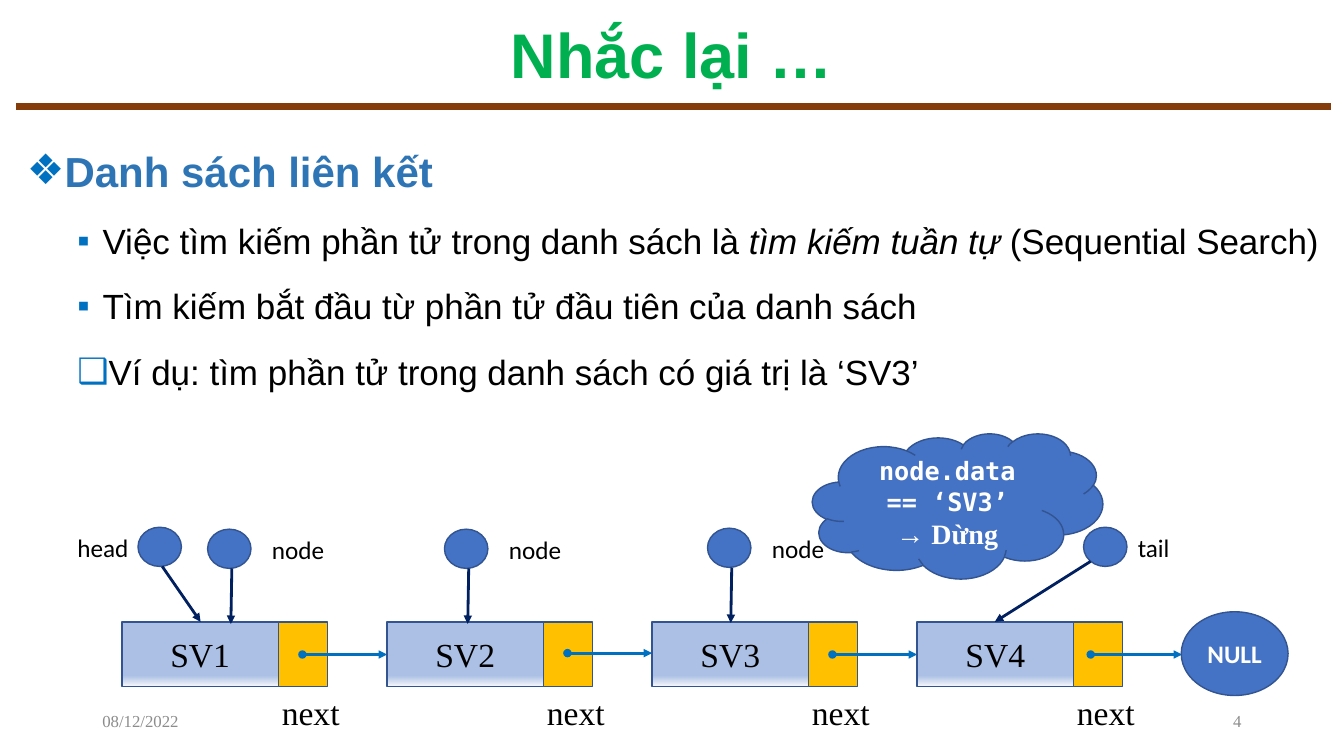
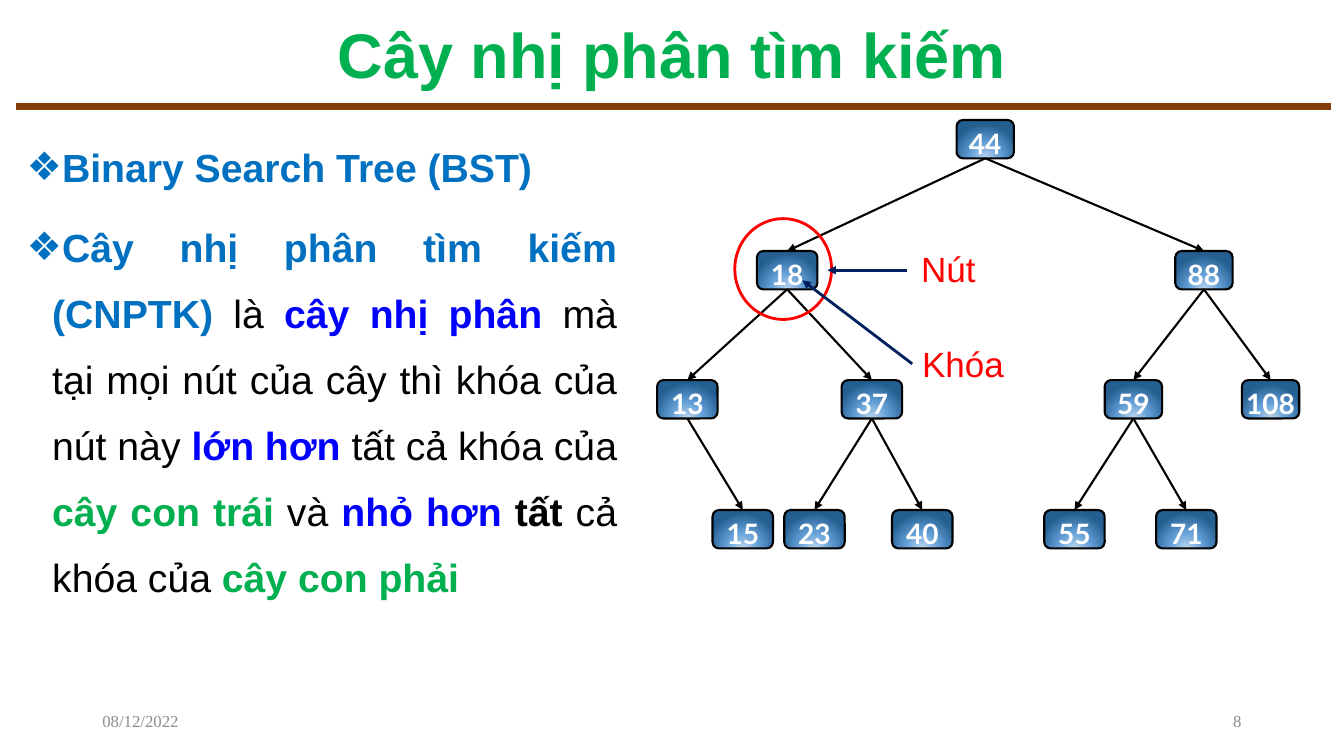
"""Build two lecture slides: linked list search and binary search tree."""
from lxml import etree
from pptx import Presentation
from pptx.dml.color import RGBColor
from pptx.enum import shapes, text
from pptx.oxml import ns
from pptx.util import Pt

COLORS = {
    "title": "00B050", "rule": "843C0B", "heading": "2E75B6", "accent": "0070C0",
    "black": "000000", "white": "FFFFFF", "blue": "0000FF", "green": "00B050",
    "red": "FF0000", "gray": "8C8C8C", "navy": "002060", "shape": "4472C4",
    "outline": "325491", "link": "FFC000",
}
DATA_GRADIENT = [(74, "ABC0E4"), (83, "ABC0E4"), (100, "F6F8FC")]
TREE_GRADIENT = [(0, "BDD7EE"), (46, "63A0D7"), (100, "255E91")]
SERIF, SANS, LABEL = "Times New Roman", "Arial", "Calibri"
DATE = "08/12/2022"

LIST_BODY = [
    (0, "❖", 30, [("Danh sách liên kết", "heading", "b")]),
    (1, "▪", 25, [("Việc tìm kiếm phần tử trong danh sách là ", "black", ""),
                  ("tìm kiếm tuần tự", "black", "i"),
                  (" (Sequential Search)", "black", "")]),
    (1, "▪", 25, [("Tìm kiếm bắt đầu từ phần tử đầu tiên của danh sách", "black", "")]),
    (1, "❑", 25, [("Ví dụ: tìm phần tử trong danh sách có giá trị là ‘SV3’", "black", "")]),
]
TREE_BODY = [
    (0, "❖", 28, [("Binary Search Tree (BST)", "accent", "b")]),
    (0, "❖", 28, [("Cây nhị phân tìm kiếm (CNPTK)", "accent", "b"),
                  (" là ", "black", ""),
                  ("cây nhị phân", "blue", "b"),
                  (" mà tại mọi nút của cây thì khóa của nút này ", "black", ""),
                  ("lớn hơn ", "blue", "b"),
                  ("tất cả khóa của ", "black", ""),
                  ("cây con trái", "green", "b"),
                  (" và ", "black", ""),
                  ("nhỏ hơn", "blue", "b"),
                  (" tất ", "black", "b"),
                  ("cả khóa của ", "black", ""),
                  ("cây con phải", "green", "b")]),
]

STUDENTS = ["SV1", "SV2", "SV3", "SV4"]
CELL_LEFT, CELL_TOP, CELL_STEP = 87.2, 444.2, 189.3
DATA_WIDTH, LINK_WIDTH, CELL_HEIGHT = 111.6, 35.3, 46.2
LINK_STARTS, LINK_HEIGHTS = [128.8, 128.8, 128.8, 124], [467.5, 466.5, 467.5, 467.5]
# label, label left, circle left, top, arrow start, arrow tip
POINTERS = [
    ("head", 48.2, 98.6, 376.6, (115.9, 404.6), (143.3, 444.2)),
    ("node", 187.2, 148.3, 378, (165.6, 406), (164.9, 445.7)),
    ("node", 356.4, 317.5, 378, (334.8, 406), (334.1, 445.7)),
    ("node", 544.3, 505.4, 377.3, (522.7, 405.4), (522, 445)),
    ("tail", 805.7, 774, 376.6, (779, 401), (710.6, 444.2)),
]

LEVEL_TOPS = [85.7, 179.3, 271.5, 364.3]
NODE_HEIGHT = 27.4
# key: centre, level, width
TREE_NODES = {
    44: (703.8, 0, 41), 18: (562.3, 1, 43.2), 88: (860, 1, 41),
    13: (491, 2, 43.2), 37: (622.8, 2, 43.2), 59: (809.6, 2, 41), 108: (907.6, 2, 41),
    15: (530.6, 3, 43.2), 23: (581.8, 3, 43.2), 40: (658.8, 3, 43.2),
    55: (767.5, 3, 43.2), 71: (847.4, 3, 43.2),
}
TREE_EDGES = [(44, 18), (44, 88), (18, 13), (18, 37), (88, 59), (88, 108),
              (13, 15), (37, 23), (37, 40), (59, 55), (59, 71)]
CALLOUTS = [("Nút", 650.9, 173.5, (648, 193), (591.1, 193)),
            ("Khóa", 651.6, 241.2, (651.6, 259.9), (573.1, 200.2))]

SHAPE = shapes.MSO_SHAPE
ALIGN = text.PP_ALIGN


def color(name):
    return RGBColor.from_string(COLORS[name])


def set_font(font, size, name, ink, bold=False):
    font.size, font.name, font.bold = Pt(size), name, bold
    font.color.rgb = color(ink)


def write(para, words, size, name, ink, bold=False, align=ALIGN.LEFT):
    para.add_run().text = words
    para.alignment = align
    set_font(para.font, size, name, ink, bold)


def add_text(page, box, words, size, name, ink, bold=False, align=ALIGN.LEFT,
             wrap=False, middle=False):
    frame = page.shapes.add_textbox(*map(Pt, box)).text_frame
    frame.word_wrap = wrap
    if middle:
        frame.vertical_anchor = text.MSO_ANCHOR.MIDDLE
    write(frame.paragraphs[0], words, size, name, ink, bold, align)
    return frame.paragraphs[0]


def add_shape(page, kind, box, fill=None, line="outline", width=1):
    shape = page.shapes.add_shape(kind, *map(Pt, box))
    shape.shadow.inherit = False
    if fill:
        shape.fill.solid()
        shape.fill.fore_color.rgb = color(fill)
    else:
        shape.fill.background()
    shape.line.color.rgb = color(line)
    shape.line.width = Pt(width)
    shape.text_frame.vertical_anchor = text.MSO_ANCHOR.MIDDLE
    return shape


def set_gradient(shape, stops, circle=False):
    gradient = etree.Element(ns.qn("a:gradFill"), rotWithShape="1")
    stop_list = etree.SubElement(gradient, ns.qn("a:gsLst"))
    for position, ink in stops:
        stop = etree.SubElement(stop_list, ns.qn("a:gs"), pos=str(position * 1000))
        etree.SubElement(stop, ns.qn("a:srgbClr"), val=ink)
    if circle:
        shade = etree.SubElement(gradient, ns.qn("a:path"), {"path": "circle"})
        etree.SubElement(shade, ns.qn("a:fillToRect"), l="50000", t="130000", r="50000", b="-30000")
    else:
        etree.SubElement(gradient, ns.qn("a:lin"), ang="5400000", scaled="0")
    properties = shape._element.spPr
    properties.replace(properties.find(ns.qn("a:noFill")), gradient)


def add_line(page, start, end, ink, width, head=None, tail=None):
    line = page.shapes.add_connector(shapes.MSO_CONNECTOR.STRAIGHT, *map(Pt, (*start, *end)))
    line.line.color.rgb = color(ink)
    line.line.width = Pt(width)
    for tag, kind in (("a:headEnd", head), ("a:tailEnd", tail)):
        if kind:
            etree.SubElement(line.line._get_or_add_ln(), ns.qn(tag), type=kind)
    etree.SubElement(line._element.spPr, ns.qn("a:effectLst"))
    return line


def add_bullet(para, mark, left):
    properties = para._p.get_or_add_pPr()
    properties.set("marL", str(Pt(left)))
    properties.set("indent", str(Pt(-18)))
    ink = etree.SubElement(properties, ns.qn("a:buClr"))
    etree.SubElement(ink, ns.qn("a:srgbClr"), val=COLORS["accent"])
    etree.SubElement(properties, ns.qn("a:buFont"), typeface=SANS)
    etree.SubElement(properties, ns.qn("a:buChar"), char=mark)


def add_body(page, box, items):
    frame = page.shapes.add_textbox(*map(Pt, box)).text_frame
    frame.word_wrap = True
    for index, (level, mark, size, runs) in enumerate(items):
        para = frame.add_paragraph() if index else frame.paragraphs[0]
        add_bullet(para, mark, 54 if level else 18)
        para.level = level
        para.alignment = ALIGN.JUSTIFY
        para.line_spacing = 1.4
        if index:
            para.space_before = Pt(5 if level else 10)
        para.font.size, para.font.name = Pt(size), SANS
        for words, ink, style in runs:
            span = para.add_run()
            span.text = words
            span.font.color.rgb = color(ink)
            span.font.bold, span.font.italic = style == "b", style == "i"


def add_page(deck, title, number):
    page = deck.slides.add_slide(deck.slide_layouts[6])
    add_line(page, (11.5, 76.3), (951, 76.3), "rule", 5)
    heading = add_text(page, (66, 12.2, 828, 58.3), title, 45, SANS, "title", True,
                       ALIGN.CENTER, True, True)
    heading.line_spacing = 0.9
    for left, words, align in ((678, number, ALIGN.RIGHT), (66, DATE, ALIGN.LEFT)):
        add_text(page, (left, 500.4, 216, 28.8), words, 12, SERIF, "gray",
                 align=align, wrap=True, middle=True)
    return page


def build_list_page(deck):
    page = add_page(deck, "Nhắc lại …", "4")
    add_body(page, (12.2, 85.7, 938, 443.5), LIST_BODY)
    for index, student in enumerate(STUDENTS):
        left = CELL_LEFT + index * CELL_STEP
        data = add_shape(page, SHAPE.RECTANGLE, (left, CELL_TOP, DATA_WIDTH, CELL_HEIGHT))
        set_gradient(data, DATA_GRADIENT)
        write(data.text_frame.paragraphs[0], student, 24, SERIF, "black", align=ALIGN.CENTER)
        add_shape(page, SHAPE.RECTANGLE, (left + DATA_WIDTH, CELL_TOP, LINK_WIDTH, CELL_HEIGHT), "link")
        height = LINK_HEIGHTS[index]
        add_line(page, (left + LINK_STARTS[index], height), (left + CELL_STEP, height),
                 "accent", 2, "oval", "triangle")
        add_text(page, (left + 107, 491, 56.2, 36), "next", 24, SERIF, "black")
    end = add_shape(page, SHAPE.OVAL, (843.8, 437, 76.3, 59.8), "shape")
    write(end.text_frame.paragraphs[0], "NULL", 18, LABEL, "white", True, ALIGN.CENTER)
    for label, label_left, left, top, start, tip in POINTERS:
        add_shape(page, SHAPE.OVAL, (left, top, 31, 28), "shape")
        add_line(page, start, tip, "navy", 2, tail="triangle")
        add_text(page, (label_left, top, 52, 28.8), label, 18, LABEL, "black")
    cloud = add_shape(page, SHAPE.CLOUD, (580.3, 309.6, 207.4, 103.7), "shape").text_frame
    write(cloud.paragraphs[0], "node.data == ‘SV3’", 18, "DejaVu Sans Mono", "white", True, ALIGN.CENTER)
    write(cloud.add_paragraph(), "→ Dừng", 20, SERIF, "white", True, ALIGN.CENTER)


def build_tree_page(deck):
    page = add_page(deck, "Cây nhị phân tìm kiếm", "8")
    add_body(page, (12.2, 85.7, 435.6, 425.5), TREE_BODY)
    nodes = {}
    for key, (center, level, width) in TREE_NODES.items():
        box = (center - width / 2, LEVEL_TOPS[level], width, NODE_HEIGHT)
        node = nodes[key] = add_shape(page, SHAPE.ROUNDED_RECTANGLE, box, line="black", width=1.5)
        set_gradient(node, TREE_GRADIENT, circle=True)
        frame = node.text_frame
        frame.margin_left = frame.margin_right = frame.margin_top = frame.margin_bottom = 0
        frame.vertical_anchor = text.MSO_ANCHOR.TOP
        write(frame.paragraphs[0], str(key), 20, "Lato", "white", True, ALIGN.CENTER)
        frame.paragraphs[0].line_spacing = 1.13
    for parent, child in TREE_EDGES:
        edge = add_line(page, (0, 0), (0, 0), "black", 1.5, tail="triangle")
        edge.begin_connect(nodes[parent], 2)
        edge.end_connect(nodes[child], 0)
    add_shape(page, SHAPE.OVAL, (524.9, 156.2, 69.1, 72), line="red", width=2)
    for label, left, top, start, tip in CALLOUTS:
        add_text(page, (left, top, 78, 37.4), label, 25, SANS, "red", wrap=True)
        add_line(page, start, tip, "navy", 2, tail="triangle")


def main():
    deck = Presentation()
    deck.slide_width, deck.slide_height = Pt(960), Pt(540)
    build_list_page(deck)
    build_tree_page(deck)
    deck.save("out.pptx")


if __name__ == "__main__":
    main()
